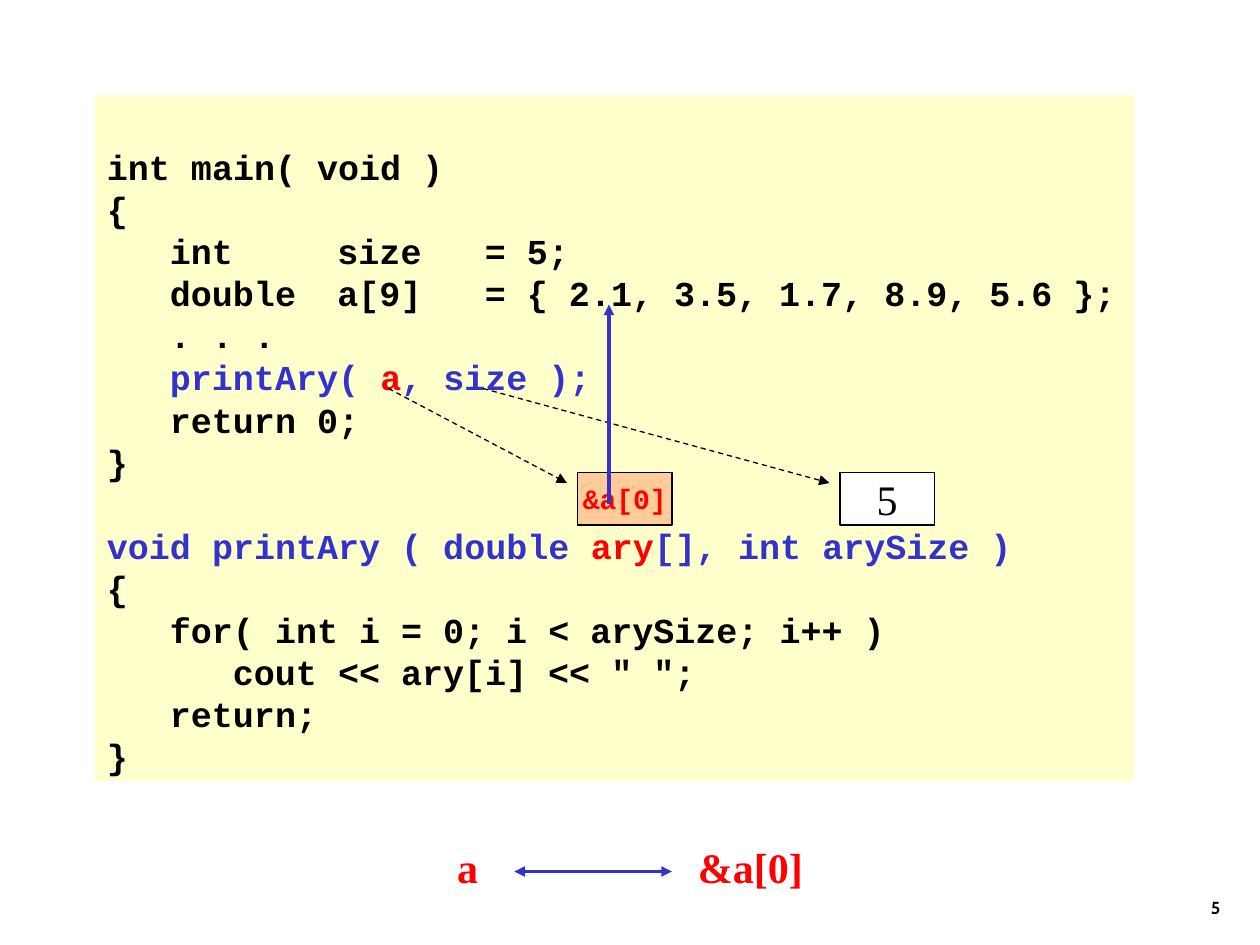
from lxml import etree
from pptx import Presentation
from pptx.dml.color import RGBColor
from pptx.enum.dml import MSO_LINE
from pptx.enum.shapes import MSO_CONNECTOR, MSO_SHAPE
from pptx.enum.text import MSO_ANCHOR, PP_ALIGN
from pptx.oxml.ns import qn
from pptx.util import Inches, Pt

BLACK = RGBColor(0x00, 0x00, 0x00)
WHITE = RGBColor(0xFF, 0xFF, 0xFF)
RED = RGBColor(0xFF, 0x00, 0x00)
BLUE = RGBColor(0x33, 0x33, 0xCC)
CREAM = RGBColor(0xFF, 0xFF, 0xCC)
PEACH = RGBColor(0xFF, 0xCC, 0x99)

RECTANGLE = MSO_SHAPE.RECTANGLE
STRAIGHT = MSO_CONNECTOR.STRAIGHT
DASH = MSO_LINE.DASH
LEFT, CENTER, RIGHT = PP_ALIGN.LEFT, PP_ALIGN.CENTER, PP_ALIGN.RIGHT
TOP, MIDDLE, BOTTOM = MSO_ANCHOR.TOP, MSO_ANCHOR.MIDDLE, MSO_ANCHOR.BOTTOM

CODE_FONT = "Courier New"
BODY_FONT = "Times New Roman"
NUMBER_FONT = "Cabin"

# The slide is ruled into 120 columns and 90 rows of equal size.
COLUMNS, ROWS = 120, 90
SLIDE_WIDTH, SLIDE_HEIGHT = Inches(10), Inches(7.5)
COLUMN, ROW = SLIDE_WIDTH / COLUMNS, SLIDE_HEIGHT / ROWS

# Tab stops are in inches from the left edge of the text.
INDENT_STOPS = (0.5, 1)
DECLARATION_STOPS = (0.5, 1.83, 3)
EQUIVALENCE_STOPS = (3.53, 5.44)
LINE_HEIGHT = Pt(24)

# Each line of code: its runs, its tab stops and the blank lines above it.
CODE = [
    ([("int main( void )", BLACK)], (), 0),
    ([("{", BLACK)], (), 0),
    ([("\tint\tsize\t= 5;", BLACK)], DECLARATION_STOPS, 0),
    ([("\tdouble\ta[9]\t= { 2.1, 3.5, 1.7, 8.9, 5.6 };", BLACK)],
     DECLARATION_STOPS, 0),
    ([("\t. . .", BLACK)], INDENT_STOPS, 0),
    ([("\tprintAry( ", BLUE), ("a", RED), (", size );", BLUE)],
     INDENT_STOPS, 0),
    ([("\treturn 0;", BLACK)], INDENT_STOPS, 0),
    ([("}", BLACK)], (), 0),
    ([("void printAry ( double ", BLUE), ("ary", RED),
      ("[], int arySize )", BLUE)], (), 1),
    ([("{", BLACK)], (), 0),
    ([("\tfor( int i = 0; i < arySize; i++ )", BLACK)], INDENT_STOPS, 0),
    ([("\t\tcout << ary[i] << \" \";", BLACK)], INDENT_STOPS, 0),
    ([("\treturn;", BLACK)], INDENT_STOPS, 0),
    ([("}", BLACK)], (), 0),
]


def place(left, top, width, height):
    """Turn columns and rows into slide lengths."""
    return (round(left * COLUMN), round(top * ROW),
            round(width * COLUMN), round(height * ROW))


def set_tab_stops(paragraph, stops):
    """Give a paragraph left-aligned tab stops."""
    if not stops:
        return
    tab_list = etree.SubElement(paragraph._p.get_or_add_pPr(), qn("a:tabLst"))
    for stop in stops:
        etree.SubElement(tab_list, qn("a:tab"),
                         pos=str(Inches(stop)), algn="l")


def style_font(font, name, size, color, bold):
    """Set the look of a font."""
    font.name, font.size, font.bold = name, Pt(size), bold
    font.color.rgb = color


def write_text(shape, text, font, size, color, bold=True, align=CENTER,
               anchor=MIDDLE, wrap=False, stops=()):
    """Put one line of text into a shape."""
    frame = shape.text_frame
    frame.text = text
    frame.word_wrap = wrap
    frame.vertical_anchor = anchor
    paragraph = frame.paragraphs[0]
    paragraph.alignment = align
    set_tab_stops(paragraph, stops)
    for run in paragraph.runs:
        style_font(run.font, font, size, color, bold)


def add_box(slide, area, fill, outline=None):
    """Add a flat rectangle, outlined if a colour is given."""
    box = slide.shapes.add_shape(RECTANGLE, *place(*area))
    box.shadow.inherit = False
    box.fill.solid()
    box.fill.fore_color.rgb = fill
    if outline is None:
        box.line.fill.background()
    else:
        box.line.color.rgb = outline
        box.line.width = Pt(0.74)
    return box


def add_arrow(slide, start, end, color, width, dash=None, both_ends=False):
    """Add a straight arrow between two grid points."""
    arrow = slide.shapes.add_connector(STRAIGHT, *place(*start, *end))
    arrow.line.color.rgb = color
    arrow.line.width = Pt(width)
    if dash is not None:
        arrow.line.dash_style = dash
    line = arrow.line._get_or_add_ln()
    for tag in ("a:headEnd", "a:tailEnd") if both_ends else ("a:tailEnd",):
        etree.SubElement(line, qn(tag), type="triangle")
    etree.SubElement(arrow._element.spPr, qn("a:effectLst"))


def add_code(slide, area, lines):
    """Add the code panel, one paragraph for each line."""
    frame = add_box(slide, area, CREAM).text_frame
    frame.word_wrap = True
    frame.vertical_anchor = TOP
    frame.margin_top = Inches(0.4)
    for index, (runs, stops, blank_lines) in enumerate(lines):
        paragraph = frame.add_paragraph() if index else frame.paragraphs[0]
        paragraph.alignment = LEFT
        paragraph.line_spacing = LINE_HEIGHT
        paragraph.space_before = blank_lines * LINE_HEIGHT
        set_tab_stops(paragraph, stops)
        for text, color in runs:
            run = paragraph.add_run()
            run.text = text
            style_font(run.font, CODE_FONT, 20, color, True)


def main():
    """Build the slide and save it."""
    presentation = Presentation()
    presentation.slide_width = SLIDE_WIDTH
    presentation.slide_height = SLIDE_HEIGHT
    slide = presentation.slides.add_slide(presentation.slide_layouts[6])

    number = slide.shapes.add_textbox(*place(92.4, 82, 25, 6))
    write_text(number, "5", NUMBER_FONT, 10, BLACK, align=RIGHT,
               anchor=BOTTOM, wrap=True)

    equivalence = slide.shapes.add_textbox(*place(0, 75, COLUMNS, 15))
    write_text(equivalence, "\ta\t&a[0]", BODY_FONT, 24, RED, align=LEFT,
               wrap=True, stops=EQUIVALENCE_STOPS)
    add_arrow(slide, (49, 83), (64, 83), BLUE, 2, both_ends=True)

    add_code(slide, (9, 9.1, 99, 65.3), CODE)
    size_box = add_box(slide, (80, 45, 9, 5), WHITE, BLACK)
    write_text(size_box, "5", BODY_FONT, 24, BLACK, bold=False)
    for start, end in (((37, 37), (54, 46)), ((46, 37), (79, 46))):
        add_arrow(slide, start, end, BLACK, 0.74, dash=DASH)

    address_box = add_box(slide, (55, 45, 9, 5), PEACH, BLACK)
    write_text(address_box, "&a[0]", CODE_FONT, 16, RED)
    add_arrow(slide, (58, 48), (58, 29), BLUE, 2)

    presentation.save("out.pptx")


main()
